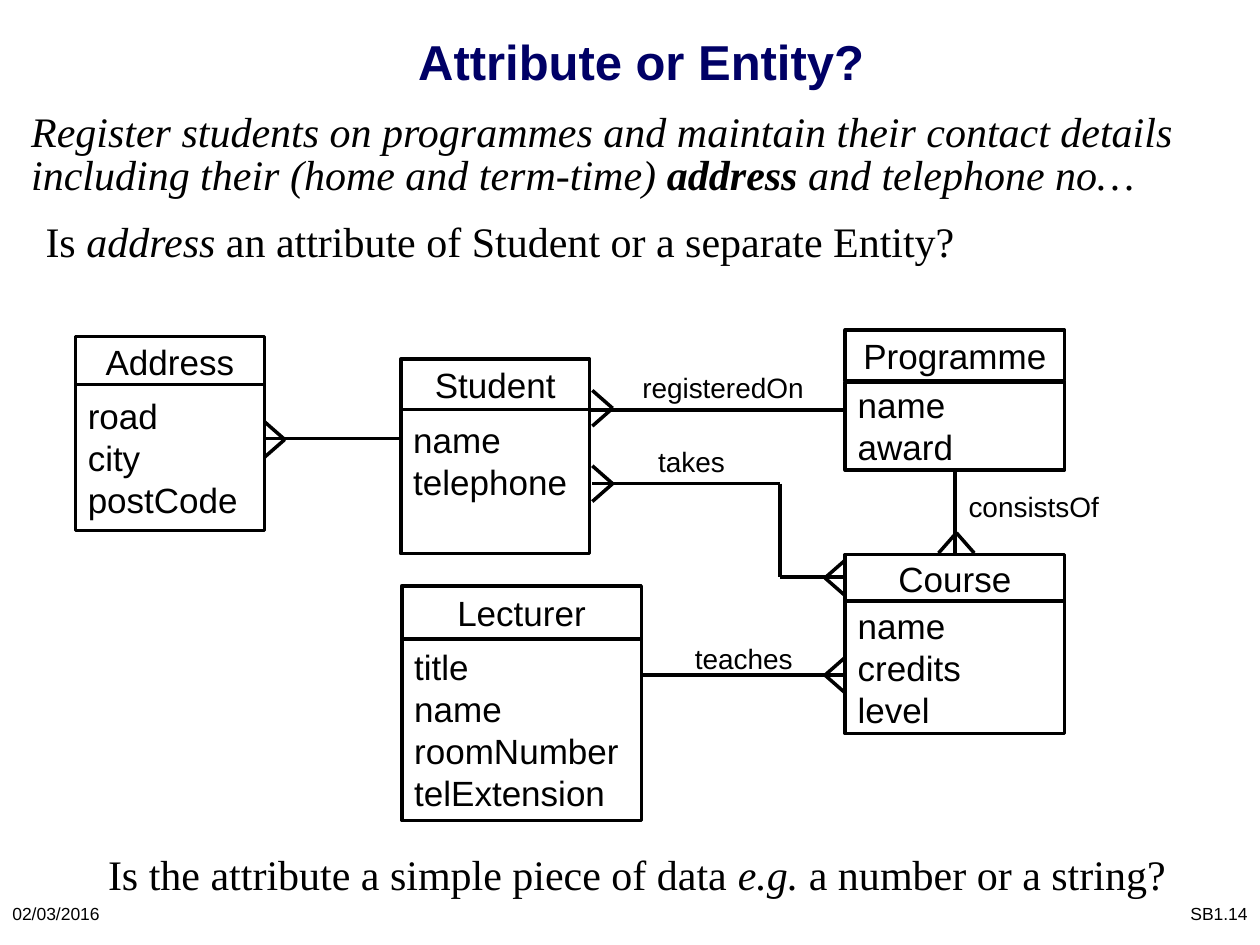
from itertools import pairwise

from lxml.etree import SubElement
from pptx import Presentation
from pptx.dml.color import RGBColor
from pptx.enum.shapes import MSO_CONNECTOR, MSO_SHAPE
from pptx.enum.text import MSO_ANCHOR, PP_ALIGN
from pptx.oxml.ns import qn
from pptx.util import Cm, Pt

SANS, SERIF = "Arial", "Times New Roman"
BLACK, WHITE, NAVY = "000000", "FFFFFF", "000066"
LEFT, CENTER, RIGHT = PP_ALIGN.LEFT, PP_ALIGN.CENTER, PP_ALIGN.RIGHT
LINE_WIDTH = 2
FOOT_LENGTH, FOOT_SPREAD = 0.41, 0.36
ATTRIBUTE_LINE = 0.85

# Lengths are in centimetres; each span is (text, style), style using "b" and "i".
FOOTERS = [
    ("02/03/2016", (0, 17.78, 5.28, 1.27), LEFT),
    ("SB1.14", (20.12, 17.78, 5.28, 1.27), RIGHT),
]
TITLE = ("Attribute or Entity?", (2.13, 0.38, 21.59, 1.68))
BRIEF = (
    [("Register students on programmes and maintain their contact details "
      "including their (home and term-time) ", "i"),
     ("address", "bi"), (" and telephone no…", "i")],
    (0.38, 2.16, 23.93, 2.05),
)
QUESTIONS = [
    ([("Is ", ""), ("address", "i"),
      (" an attribute of Student or a separate Entity?", "")],
     (0.61, 4.22, 18.95, 1.3)),
    ([("Is the attribute a simple piece of data ", ""), ("e.g.", "i"),
      (" a number or a string?", "")],
     (1.83, 16.99, 22.02, 1.3)),
]
# name, left, width, (head top, height), (body top, height), attributes, free lines
ENTITIES = [
    ("Student", 8.08, 3.81, (7.24, 1.02), (8.26, 2.9), ["name", "telephone"], 1),
    ("Programme", 17.04, 4.42, (6.65, 1.02), (7.7, 1.78), ["name", "award"], 0),
    ("Course", 17.04, 4.42, (11.18, 0.97), (12.12, 2.67),
     ["name", "credits", "level"], 0),
    ("Lecturer", 8.1, 4.83, (11.81, 1.07), (12.88, 3.66),
     ["title", "name", "roomNumber", "telExtension"], 0),
    ("Address", 1.52, 3.81, (6.78, 1.02), (7.75, 2.95),
     ["road", "city", "postCode"], 0),
]
RELATIONS = [
    [(11.89, 8.26), (17.04, 8.26)],
    [(11.94, 9.75), (15.72, 9.75), (15.72, 11.63), (17.04, 11.63)],
    [(12.95, 13.61), (17.04, 13.61)],
    [(19.25, 9.3), (19.25, 11.18)],
    [(5.33, 8.84), (8.08, 8.84)],
]
# point on the entity's edge, outward direction
CROW_FEET = [
    ((11.94, 8.23), (1, 0)), ((11.94, 9.75), (1, 0)), ((5.33, 8.86), (1, 0)),
    ((17.04, 11.65), (-1, 0)), ((17.04, 13.61), (-1, 0)), ((19.28, 11.15), (0, -1)),
]
LABELS = [
    ("registeredOn", (12.67, 7.34, 3.81, 0.94)),
    ("takes", (13.0, 8.84, 1.88, 0.94)),
    ("consistsOf", (19.25, 9.75, 3.18, 0.94)),
    ("teaches", (13.74, 12.8, 2.51, 0.94)),
]


def color(value):
    """Turn a hex string into a colour."""
    return RGBColor.from_string(value)


def write(shape, lines, font, size, align=LEFT, anchor=MSO_ANCHOR.TOP,
          wrap=True, ink=BLACK):
    """Fill a shape with paragraphs, each a list of (text, style) spans."""
    frame = shape.text_frame
    frame.word_wrap, frame.vertical_anchor = wrap, anchor
    for index, spans in enumerate(lines):
        para = frame.add_paragraph() if index else frame.paragraphs[0]
        para.alignment = align
        for text, style in spans:
            span = para.add_run()
            span.text = text
            span.font.name, span.font.size = font, Pt(size)
            span.font.bold, span.font.italic = "b" in style, "i" in style
            span.font.color.rgb = color(ink)
    return frame


def add_text(place, spans, *args, **options):
    """Add a text box holding one paragraph."""
    box = page.shapes.add_textbox(*map(Cm, place))
    return write(box, [spans], *args, **options)


def add_line(start, end):
    """Draw a straight black line."""
    line = page.shapes.add_connector(
        MSO_CONNECTOR.STRAIGHT, *map(Cm, (*start, *end)))
    line.line.color.rgb, line.line.width = color(BLACK), Pt(LINE_WIDTH)
    SubElement(line._element.spPr, qn("a:effectLst"))


def add_crow_foot(edge, direction):
    """Draw the two toes that meet away from an entity's edge."""
    (x, y), (dx, dy) = edge, direction
    apex = (x + dx * FOOT_LENGTH, y + dy * FOOT_LENGTH)
    for side in (-FOOT_SPREAD, FOOT_SPREAD):
        add_line(apex, (x + dy * side, y + dx * side))


def add_cell(place, lines, align):
    """Draw one outlined compartment of an entity."""
    cell = page.shapes.add_shape(MSO_SHAPE.RECTANGLE, *map(Cm, place))
    cell.shadow.inherit = False
    cell.fill.solid()
    cell.fill.fore_color.rgb = color(WHITE)
    cell.line.color.rgb, cell.line.width = color(BLACK), Pt(LINE_WIDTH)
    return write(cell, [[(line, "")] for line in lines], SANS, 20, align,
                 MSO_ANCHOR.MIDDLE, wrap=False)


def add_entity(name, left, width, head, body, attributes, free_lines):
    """Draw an entity: its name above its attributes."""
    add_cell((left, head[0], width, head[1]), [name], CENTER)
    frame = add_cell((left, body[0], width, body[1]), attributes, LEFT)
    frame.margin_bottom = Cm(0.13 + free_lines * ATTRIBUTE_LINE)


deck = Presentation()
deck.slide_width, deck.slide_height = Cm(25.4), Cm(19.05)
page = deck.slides.add_slide(deck.slide_layouts[6])

for text, place, align in FOOTERS:
    add_text(place, [(text, "")], SANS, 10, align, MSO_ANCHOR.MIDDLE)
add_text(TITLE[1], [(TITLE[0], "b")], SANS, 28, CENTER, MSO_ANCHOR.MIDDLE, ink=NAVY)
brief = add_text(BRIEF[1], BRIEF[0], SERIF, 24)
brief.paragraphs[0].line_spacing = 0.85

for points in RELATIONS:
    for start, end in pairwise(points):
        add_line(start, end)
for edge, direction in CROW_FEET:
    add_crow_foot(edge, direction)
for text, place in LABELS:
    add_text(place, [(text, "")], SANS, 16, CENTER, wrap=False)
for entity in ENTITIES:
    add_entity(*entity)
for spans, place in QUESTIONS:
    add_text(place, spans, SERIF, 24, CENTER, wrap=False)

deck.save("out.pptx")
